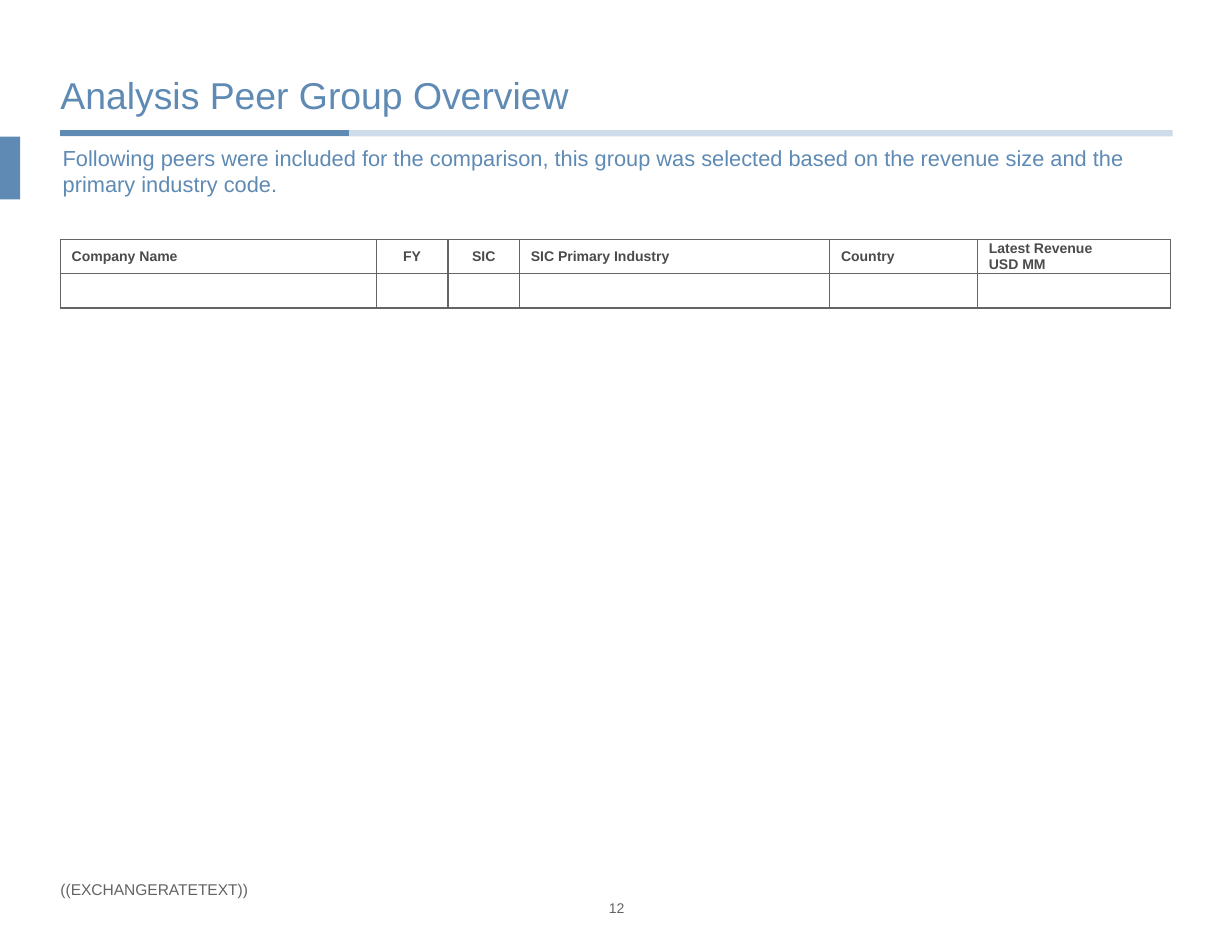
from pptx import Presentation
from pptx import util as u
from pptx.dml.color import RGBColor
from pptx.enum import shapes, text
from pptx.oxml.ns import qn
from lxml import etree

COLOURS = {"blue": "5E8AB4", "grey": "646464", "dark": "4B4B4B", "white": "FFFFFF"}
LEFT, CENTRE = text.PP_ALIGN.LEFT, text.PP_ALIGN.CENTER
HEADERS = [
    (["Company Name"], 2.82, LEFT),
    (["FY"], 0.64, CENTRE),
    (["SIC"], 0.64, CENTRE),
    (["SIC Primary Industry"], 2.77, LEFT),
    (["Country"], 1.32, LEFT),
    (["Latest Revenue", "USD MM"], 1.72, LEFT),
]
ROW_HEIGHTS = [0.2, 0.31]


def inches(*lengths):
    return [u.Inches(length) for length in lengths]


def colour(name):
    return RGBColor.from_string(COLOURS[name])


def add_node(parent, tag, **attributes):
    return etree.SubElement(parent, qn(tag), attributes)


class SlideBuilder:
    font = "Arial"
    margins = dict.fromkeys(
        ("margin_left", "margin_top", "margin_right", "margin_bottom"), 0)

    def __init__(self, page):
        self.page = page

    def apply(self, target, values):
        for name, value in values.items():
            setattr(target, name, value)

    def add_span(self, para, words, size, shade, bold=False):
        span = para.add_run()
        span.text = words
        self.apply(span.font, {"name": self.font, "size": u.Pt(size), "bold": bold})
        span.font.color.rgb = colour(shade)

    def rule(self, start, end, y, opacity=None):
        line = self.page.shapes.add_connector(
            shapes.MSO_CONNECTOR.STRAIGHT, *inches(start, y, end, y))
        line.line.width = u.Pt(4)
        line.line.color.rgb = colour("blue")
        properties = line._element.spPr
        if opacity:
            shade = properties.find(".//" + qn("a:srgbClr"))
            add_node(shade, "a:alpha", val=str(opacity * 1000))
        add_node(properties, "a:effectLst")

    def block(self, *place):
        shape = self.page.shapes.add_shape(shapes.MSO_SHAPE.RECTANGLE, *inches(*place))
        shape.shadow.inherit = False
        shape.fill.solid()
        shape.fill.fore_color.rgb = colour("blue")
        shape.line.fill.background()

    def text(self, place, words, size, shade, align=LEFT,
             anchor=text.MSO_ANCHOR.TOP, wrap=True, after=0):
        box = self.page.shapes.add_textbox(*inches(*place))
        frame = box.text_frame
        self.apply(frame, {**self.margins, "word_wrap": wrap, "vertical_anchor": anchor})
        para = frame.paragraphs[0]
        self.apply(para, {"alignment": align, "space_after": u.Pt(after)})
        self.add_span(para, words, size, shade)

    def style_cell(self, cell):
        self.apply(cell, {**self.margins, "vertical_anchor": text.MSO_ANCHOR.MIDDLE})
        properties = cell._tc.get_or_add_tcPr()
        for side in ("L", "R", "T", "B"):
            border = add_node(properties, f"a:ln{side}", w=str(u.Pt(1)))
            add_node(add_node(border, "a:solidFill"), "a:srgbClr", val=COLOURS["grey"])
        cell.fill.solid()
        cell.fill.fore_color.rgb = colour("white")

    def table(self, left, top, headers, heights):
        width = sum(header[1] for header in headers)
        table = self.page.shapes.add_table(
            len(heights), len(headers), *inches(left, top, width, sum(heights))).table
        self.apply(table, {"first_row": False, "horz_banding": False})
        for row, height in zip(table.rows, heights):
            row.height = u.Inches(height)
        for cell in table.iter_cells():
            self.style_cell(cell)
        for index, (lines, width, align) in enumerate(headers):
            table.columns[index].width = u.Inches(width)
            frame = table.cell(0, index).text_frame
            for number, words in enumerate(lines):
                para = frame.add_paragraph() if number else frame.paragraphs[0]
                para.alignment = align
                if align == LEFT:
                    para._p.get_or_add_pPr().set("marL", str(u.Inches(0.1)))
                self.add_span(para, words, 9, "dark", bold=True)


def main():
    deck = Presentation()
    deck.slide_width, deck.slide_height = inches(11, 8.5)
    builder = SlideBuilder(deck.slides.add_slide(deck.slide_layouts[6]))
    builder.rule(0.54, 10.47, 1.19, opacity=30)
    builder.rule(0.54, 3.12, 1.19)
    builder.block(0, 1.22, 0.18, 0.56)
    builder.text((0.54, 0.39, 9.93, 0.9), "Analysis Peer Group Overview", 24, "blue",
                 anchor=text.MSO_ANCHOR.MIDDLE)
    builder.table(0.54, 2.14, HEADERS, ROW_HEIGHTS)
    builder.text((5.32, 8.03, 0.37, 0.15), "12", 9, "grey", align=CENTRE)
    builder.text((0.56, 1.29, 9.93, 0.3),
                 "Following peers were included for the comparison, this group was "
                 "selected based on the revenue size and the primary industry code.",
                 14, "blue", after=8)
    builder.text((0.54, 7.86, 2.95, 0.15), "((EXCHANGERATETEXT))", 10, "grey", wrap=False)
    deck.save("out.pptx")


if __name__ == "__main__":
    main()
